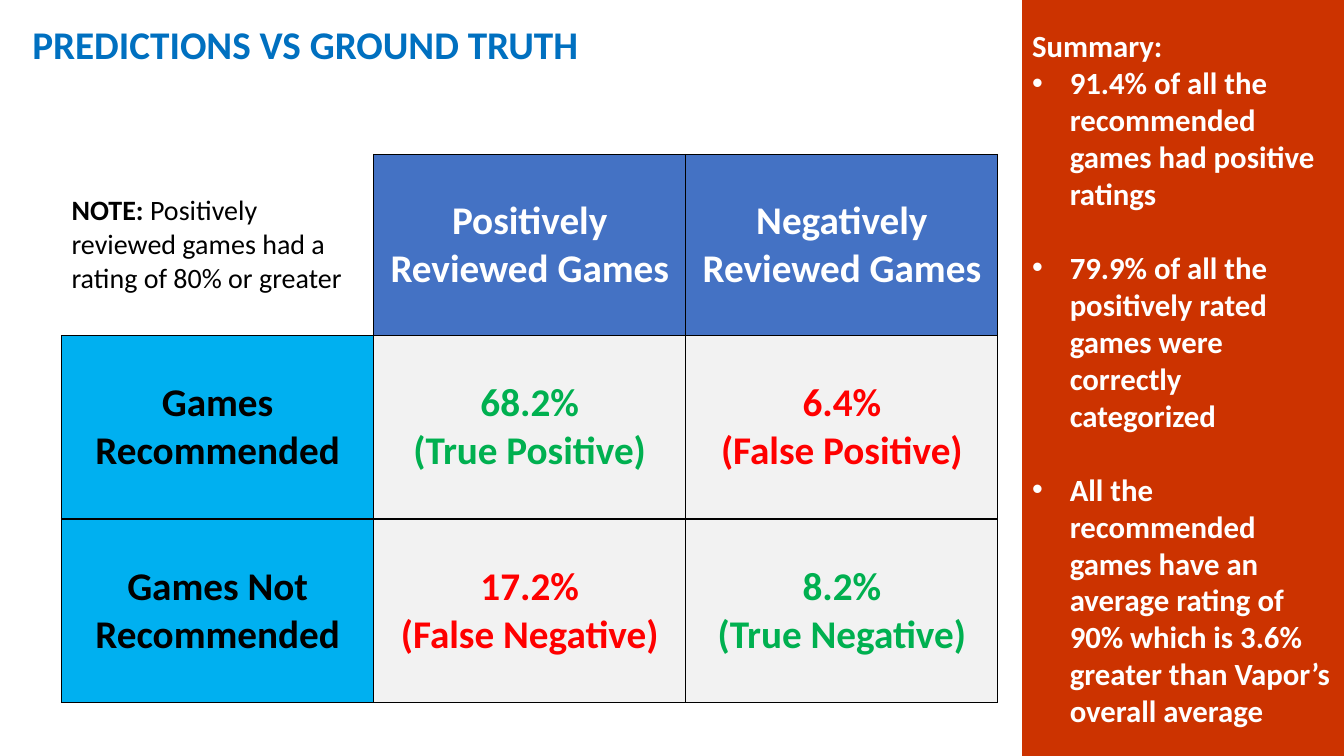
from dataclasses import dataclass

from lxml import etree
from pptx import Presentation
from pptx.dml.color import RGBColor
from pptx.enum.shapes import MSO_SHAPE
from pptx.enum.text import MSO_ANCHOR, PP_ALIGN
from pptx.oxml.ns import qn
from pptx.util import Cm, Pt

MIDDLE = MSO_ANCHOR.MIDDLE
LEFT, CENTER = PP_ALIGN.LEFT, PP_ALIGN.CENTER
RECTANGLE = MSO_SHAPE.RECTANGLE
TITLE_ONLY = 5


@dataclass(frozen=True)
class Theme:
    font: str = "Calibri"
    heading_size: int = 28
    summary_size: int = 22
    note_size: int = 20
    title: str = "0070C0"
    column_head: str = "4472C4"
    row_head: str = "00B0F0"
    result: str = "F2F2F2"
    panel: str = "CC3300"
    correct: str = "00B050"
    wrong: str = "FF0000"
    dark: str = "000000"
    light: str = "FFFFFF"


THEME = Theme()

COLUMN_HEADS = ["Positively Reviewed Games", "Negatively Reviewed Games"]
OUTCOMES = [
    ("Games Recommended",
     [("68.2%", "(True Positive)"), ("6.4%", "(False Positive)")]),
    ("Games Not Recommended",
     [("17.2%", "(False Negative)"), ("8.2%", "(True Negative)")]),
]
FINDINGS = [
    "91.4% of all the recommended games had positive ratings",
    "79.9% of all the positively rated games were correctly categorized",
    "All the recommended games have an average rating of 90% "
    "which is 3.6% greater than Vapor’s overall average",
]


def add_run(paragraph, words, size, color, bold=True):
    run = paragraph.add_run()
    run.text = words
    run.font.name = THEME.font
    run.font.size = Pt(size)
    run.font.bold = bold
    run.font.color.rgb = RGBColor.from_string(color)


def next_paragraph(frame, index, align):
    """Return the frame's first paragraph for index 0, otherwise a new one."""
    paragraph = frame.add_paragraph() if index else frame.paragraphs[0]
    paragraph.alignment = align
    return paragraph


def set_borders(cell, sides):
    """Rule the given sides (of L, R, T, B) and leave the others open."""
    properties = cell._tc.get_or_add_tcPr()
    for side in "LRTB":
        line = etree.SubElement(properties, qn(f"a:ln{side}"), w=str(Pt(1)))
        if side in sides:
            fill = etree.SubElement(line, qn("a:solidFill"))
            etree.SubElement(fill, qn("a:srgbClr"), val=THEME.dark)
        else:
            etree.SubElement(line, qn("a:noFill"))


def fill_cell(cell, lines, fill, color):
    set_borders(cell, "LRTB")
    cell.fill.solid()
    cell.fill.fore_color.rgb = RGBColor.from_string(fill)
    cell.vertical_anchor = MIDDLE
    for index, line in enumerate(lines):
        paragraph = next_paragraph(cell.text_frame, index, CENTER)
        add_run(paragraph, line, THEME.heading_size, color)


def fill_note(cell):
    set_borders(cell, "RB")
    cell.fill.background()
    cell.vertical_anchor = MIDDLE
    paragraph = next_paragraph(cell.text_frame, 0, LEFT)
    add_run(paragraph, "NOTE: ", THEME.note_size, THEME.dark)
    add_run(paragraph, "Positively reviewed games had a rating of 80% or greater",
            THEME.note_size, THEME.dark, bold=False)


def place_title(slide, left, top, width, height):
    title = slide.shapes.title
    title.left, title.top, title.width, title.height = left, top, width, height
    frame = title.text_frame
    frame.vertical_anchor = MIDDLE
    paragraph = next_paragraph(frame, 0, LEFT)
    paragraph.line_spacing = 0.9
    add_run(paragraph, "PREDICTIONS VS GROUND TRUTH", THEME.heading_size, THEME.title)


def add_confusion_matrix(slide, left, top, width, height):
    matrix = slide.shapes.add_table(3, 3, left, top, width, height).table
    matrix.first_row = matrix.horz_banding = False
    head_height = Cm(4.57)
    matrix.rows[0].height = head_height
    for row in (1, 2):
        matrix.rows[row].height = (height - head_height) // 2

    fill_note(matrix.cell(0, 0))
    for column, head in enumerate(COLUMN_HEADS, 1):
        fill_cell(matrix.cell(0, column), [head], THEME.column_head, THEME.light)
    for row, (head, results) in enumerate(OUTCOMES, 1):
        fill_cell(matrix.cell(row, 0), [head], THEME.row_head, THEME.dark)
        for column, result in enumerate(results, 1):
            color = THEME.correct if row == column else THEME.wrong
            fill_cell(matrix.cell(row, column), result, THEME.result, color)


def add_bullet(paragraph):
    properties = paragraph._p.get_or_add_pPr()
    properties.set("marL", str(Cm(0.95)))
    properties.set("indent", str(-Cm(0.95)))
    etree.SubElement(properties, qn("a:buFont"), typeface="Arial")
    etree.SubElement(properties, qn("a:buChar"), char="•")


def add_summary(slide, left, top, width, height):
    panel = slide.shapes.add_shape(RECTANGLE, left, top, width, height)
    panel.shadow.inherit = False
    panel.fill.solid()
    panel.fill.fore_color.rgb = RGBColor.from_string(THEME.panel)
    panel.line.fill.background()
    frame = panel.text_frame
    frame.word_wrap = True
    frame.vertical_anchor = MIDDLE
    add_run(next_paragraph(frame, 0, LEFT), "Summary:", THEME.summary_size, THEME.light)
    for index, finding in enumerate(FINDINGS, 1):
        paragraph = next_paragraph(frame, index, LEFT)
        if index > 1:
            paragraph.space_before = Pt(1.2 * THEME.summary_size)
        add_bullet(paragraph)
        add_run(paragraph, finding, THEME.summary_size, THEME.light)


def main():
    deck = Presentation()
    deck.slide_width, deck.slide_height = Cm(33.87), Cm(19.05)
    slide = deck.slides.add_slide(deck.slide_layouts[TITLE_ONLY])
    panel_width = Cm(8.11)
    place_title(slide, Cm(0.56), Cm(0.38), Cm(29.2), Cm(1.58))
    add_confusion_matrix(slide, Cm(1.55), Cm(3.89), Cm(23.6), Cm(13.81))
    add_summary(slide, deck.slide_width - panel_width, 0, panel_width, deck.slide_height)
    deck.save("out.pptx")


if __name__ == "__main__":
    main()
